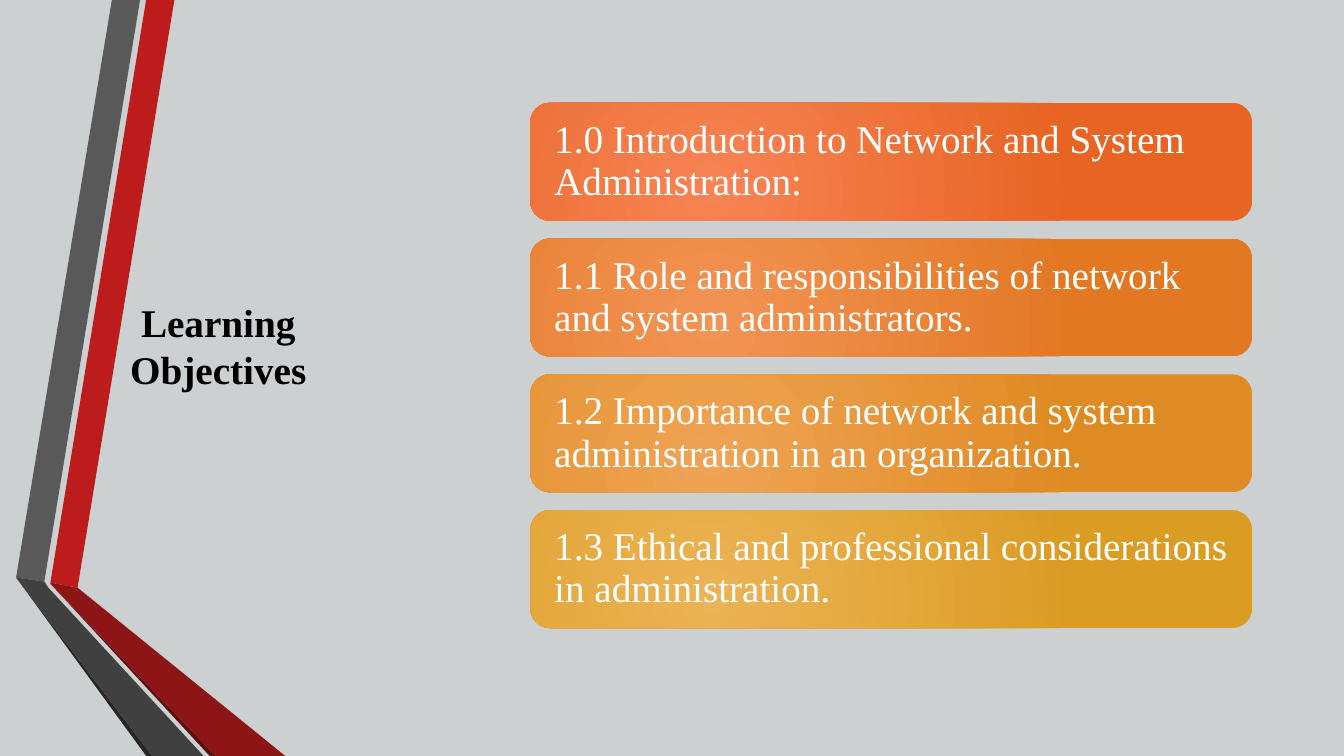
"""Build the Learning Objectives slide: a folded ribbon, a title and four gradient cards."""
from dataclasses import dataclass

from lxml import etree
from pptx import Presentation, util as u
from pptx.dml.color import RGBColor
from pptx.enum import shapes, text
from pptx.oxml.ns import qn

TITLE = "Learning Objectives"
OBJECTIVES = [
    ("1.0 Introduction to Network and System Administration:", "F78354", "E76422"),
    ("1.1 Role and responsibilities of network and system administrators.", "F39354", "E37823"),
    ("1.2 Importance of network and system administration in an organization.", "EFA354", "DF8B23"),
    ("1.3 Ethical and professional considerations in administration.", "ECB354", "DB9C24"),
]
RIBBON = [
    ("BC1C1C", [(0.5, 5.78), (0.77, 5.83), (1.73, 0), (1.45, 0)]),
    ("595959", [(1.39, 0), (1.11, 0), (0.16, 5.73), (0.44, 5.77)]),
    ("262626", [(0.16, 5.73), (1.45, 7.5), (1.51, 7.5)]),
    ("5E0E0E", [(0.5, 5.79), (2.08, 7.5), (2.14, 7.5)]),
    ("8D1515", [(0.5, 5.79), (2.14, 7.5), (2.83, 7.5), (0.77, 5.83), (0.5, 5.78)]),
    ("404040", [(2.02, 7.5), (0.48, 5.83), (0.44, 5.77), (0.16, 5.73), (1.51, 7.5)]),
]


@dataclass(frozen=True)
class Theme:
    font: str = "Times New Roman"
    size: int = 28
    background: str = "CDD0D1"
    title: str = "000000"
    card_text: str = "FFFFFF"


THEME = Theme()
WIDTH, HEIGHT = 13.33, 7.5
TITLE_BOX = (0.75, 0.7, 2.83, 5.46)
CARD_LEFT, CARD_TOP, CARD_WIDTH, CARD_HEIGHT = 5.26, 1.02, 7.16, 1.17
CARD_PITCH = 1.347
CARD_INSET = 0.18


def inches(*lengths):
    return [u.Inches(length) for length in lengths]


def write(frame, words, color, align):
    frame.word_wrap = True
    frame.vertical_anchor = text.MSO_ANCHOR.MIDDLE
    paragraph = frame.paragraphs[0]
    paragraph.text = words
    paragraph.alignment = align
    paragraph.font.name = THEME.font
    paragraph.font.size = u.Pt(THEME.size)
    paragraph.font.color.rgb = RGBColor.from_string(color)
    return paragraph


def add_band(slide, color, corners):
    start, *rest = [inches(*corner) for corner in corners]
    builder = slide.shapes.build_freeform(*start)
    builder.add_line_segments(rest, close=True)
    band = builder.convert_to_shape()
    band.shadow.inherit = False
    band.fill.solid()
    band.fill.fore_color.rgb = RGBColor.from_string(color)
    band.line.fill.background()


def glow(card, inner, outer):
    card.fill.gradient()
    for stop, color in zip(card.fill.gradient_stops, (inner, outer)):
        stop.color.rgb = RGBColor.from_string(color)
    linear = card.fill._xPr.find(qn("a:gradFill")).find(qn("a:lin"))
    radial = etree.Element(qn("a:path"), {"path": "circle"})
    etree.SubElement(radial, qn("a:fillToRect"), l="50000", t="100000", r="100000", b="50000")
    linear.getparent().replace(linear, radial)


def add_card(slide, row, words, inner, outer):
    box = inches(CARD_LEFT, CARD_TOP + row * CARD_PITCH, CARD_WIDTH, CARD_HEIGHT)
    card = slide.shapes.add_shape(shapes.MSO_SHAPE.ROUNDED_RECTANGLE, *box)
    card.shadow.inherit = False
    card.line.fill.background()
    glow(card, inner, outer)
    frame = card.text_frame
    frame.margin_left = frame.margin_right = u.Inches(CARD_INSET)
    frame.margin_top = frame.margin_bottom = u.Inches(CARD_INSET)
    write(frame, words, THEME.card_text, text.PP_ALIGN.LEFT).line_spacing = 0.9


def main():
    deck = Presentation()
    deck.slide_width, deck.slide_height = inches(WIDTH, HEIGHT)
    slide = deck.slides.add_slide(deck.slide_layouts[6])
    slide.background.fill.solid()
    slide.background.fill.fore_color.rgb = RGBColor.from_string(THEME.background)

    for color, corners in RIBBON:
        add_band(slide, color, corners)

    heading = slide.shapes.add_textbox(*inches(*TITLE_BOX))
    write(heading.text_frame, TITLE, THEME.title, text.PP_ALIGN.CENTER).font.bold = True

    for row, objective in enumerate(OBJECTIVES):
        add_card(slide, row, *objective)

    deck.save("out.pptx")


if __name__ == "__main__":
    main()
